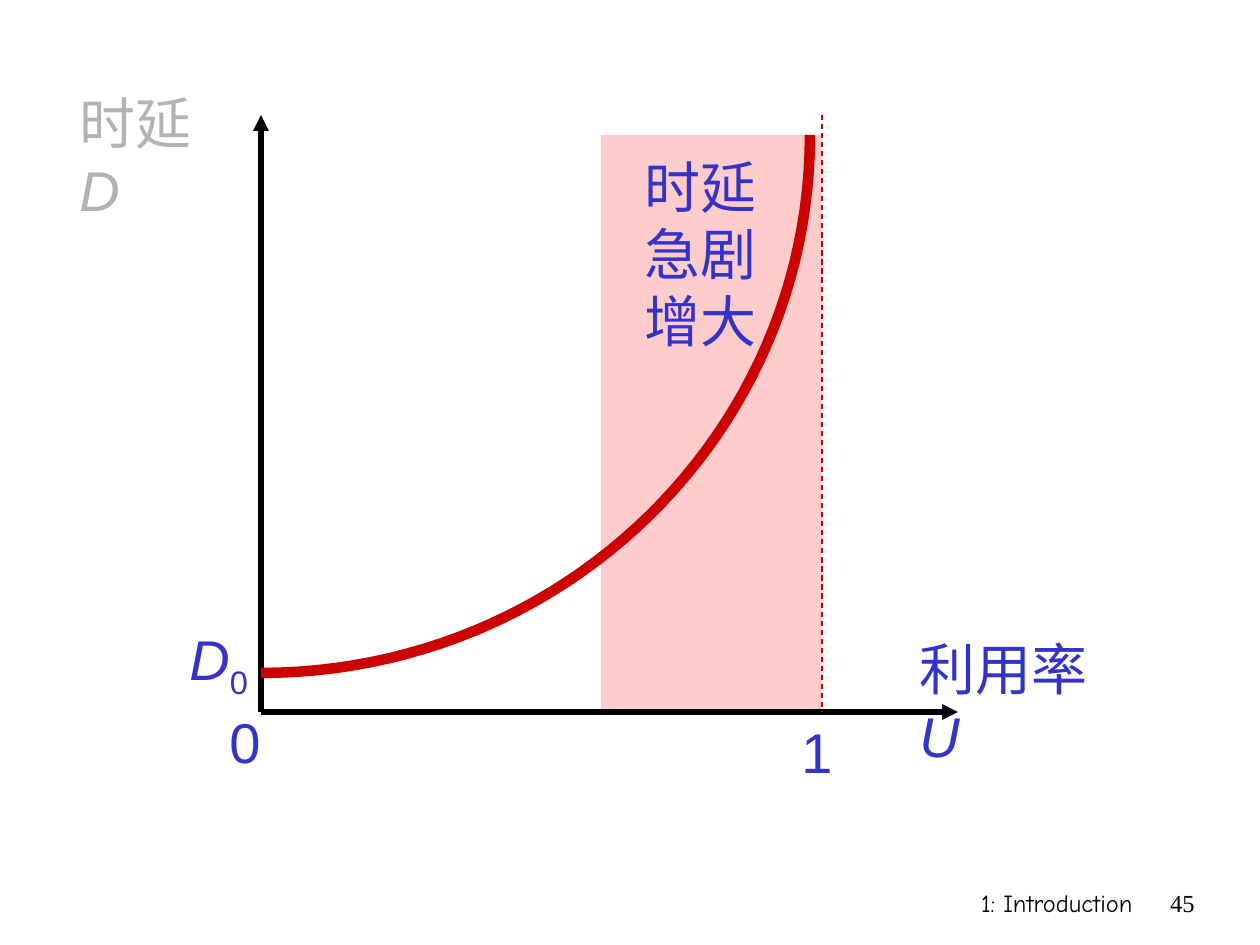
from lxml.etree import SubElement
from pptx import Presentation
from pptx.dml.color import RGBColor
from pptx.enum.dml import MSO_LINE
from pptx.enum.shapes import MSO_CONNECTOR, MSO_SHAPE
from pptx.enum.text import PP_ALIGN
from pptx.oxml.ns import qn
from pptx.util import Pt

EMU_PER_PX = 914400 / 126
BLUE, GREY, RED, PINK, BLACK = "3333CC", "B2B2B2", "CC0000", "FFCCCC", "000000"
ORIGIN_X, ORIGIN_Y = 261, 712
AXIS_TOP, AXIS_RIGHT = 115, 958
LIMIT_X = 822
CURVE = [(261, 673), (564, 673), (810, 433), (810, 135)]
CURVE_STEPS = 48


def px(length):
    return round(length * EMU_PER_PX)


def color(value):
    return RGBColor.from_string(value)


def add_text(page, area, lines, ink=BLUE, size=32, font="Arial", align=PP_ALIGN.LEFT, wrap=False):
    box = page.shapes.add_textbox(*map(px, area))
    frame = box.text_frame
    frame.word_wrap = wrap
    for index, line in enumerate(lines):
        para = frame.paragraphs[0] if index == 0 else frame.add_paragraph()
        para.alignment = align
        para.font.name = font
        para.font.size = Pt(size)
        para.font.color.rgb = color(ink)
        para.add_run().text = line
    return frame.paragraphs[0]


def add_axis_title(page, area, name, symbol, ink):
    para = add_text(page, area, [name], ink, wrap=True)
    gap = para.add_run()
    gap.text = " "
    gap.font.size = Pt(16)
    span = para.add_run()
    span.text = symbol
    span.font.italic = True


def add_initial_delay(page, area):
    para = add_text(page, area, ["D"])
    para.runs[0].font.italic = True
    span = para.add_run()
    span.text = "0"
    span._r.get_or_add_rPr().set("baseline", "-25000")


def add_line(page, start, end, ink, width):
    line = page.shapes.add_connector(MSO_CONNECTOR.STRAIGHT, *map(px, start + end))
    line.line.color.rgb = color(ink)
    line.line.width = Pt(width)
    SubElement(line._element.spPr, qn("a:effectLst"))
    return line


def add_axis(page, end):
    axis = add_line(page, (ORIGIN_X, ORIGIN_Y), end, BLACK, 3)
    SubElement(axis.line._get_or_add_ln(), qn("a:tailEnd"), type="triangle")


def add_band(page, area):
    band = page.shapes.add_shape(MSO_SHAPE.RECTANGLE, *map(px, area))
    band.shadow.inherit = False
    band.fill.solid()
    band.fill.fore_color.rgb = color(PINK)
    band.line.fill.background()


def bezier_point(controls, t):
    weights = ((1 - t) ** 3, 3 * t * (1 - t) ** 2, 3 * t ** 2 * (1 - t), t ** 3)
    return tuple(sum(w * value for w, value in zip(weights, axis)) for axis in zip(*controls))


def add_curve(page):
    points = [bezier_point(CURVE, step / CURVE_STEPS) for step in range(CURVE_STEPS + 1)]
    points = [(px(x), px(y)) for x, y in points]
    builder = page.shapes.build_freeform(*points[0])
    builder.add_line_segments(points[1:], close=False)
    curve = builder.convert_to_shape()
    curve.shadow.inherit = False
    curve.fill.background()
    curve.line.color.rgb = color(RED)
    curve.line.width = Pt(6)


def main():
    deck = Presentation()
    deck.slide_width, deck.slide_height = px(1260), px(945)
    page = deck.slides.add_slide(deck.slide_layouts[6])

    add_text(page, (746, 882, 399, 63), ["1: Introduction"], BLACK, 14, "Comic Neue", PP_ALIGN.RIGHT, True)
    add_text(page, (1144, 882, 63, 63), ["45"], BLACK, 14, "Times New Roman", PP_ALIGN.RIGHT, True)

    add_band(page, (601, 135, LIMIT_X - 601, ORIGIN_Y - 135))
    add_axis_title(page, (67, 82, 180, 79), "时延", "D", GREY)
    add_axis(page, (ORIGIN_X, AXIS_TOP))
    add_axis(page, (AXIS_RIGHT, ORIGIN_Y))
    limit = add_line(page, (LIMIT_X, AXIS_TOP), (LIMIT_X, ORIGIN_Y), RED, 0.75)
    limit.line.dash_style = MSO_LINE.DASH
    add_curve(page)

    add_axis_title(page, (907, 628, 235, 79), "利用率", "U", BLUE)
    add_text(page, (789, 711, 57, 79), ["1"])
    add_text(page, (217, 701, 57, 79), ["0"])
    add_initial_delay(page, (177, 618, 86, 79))
    add_text(page, (632, 146, 137, 214), ["时延", "急剧", "增大"])

    deck.save("out.pptx")


if __name__ == "__main__":
    main()
